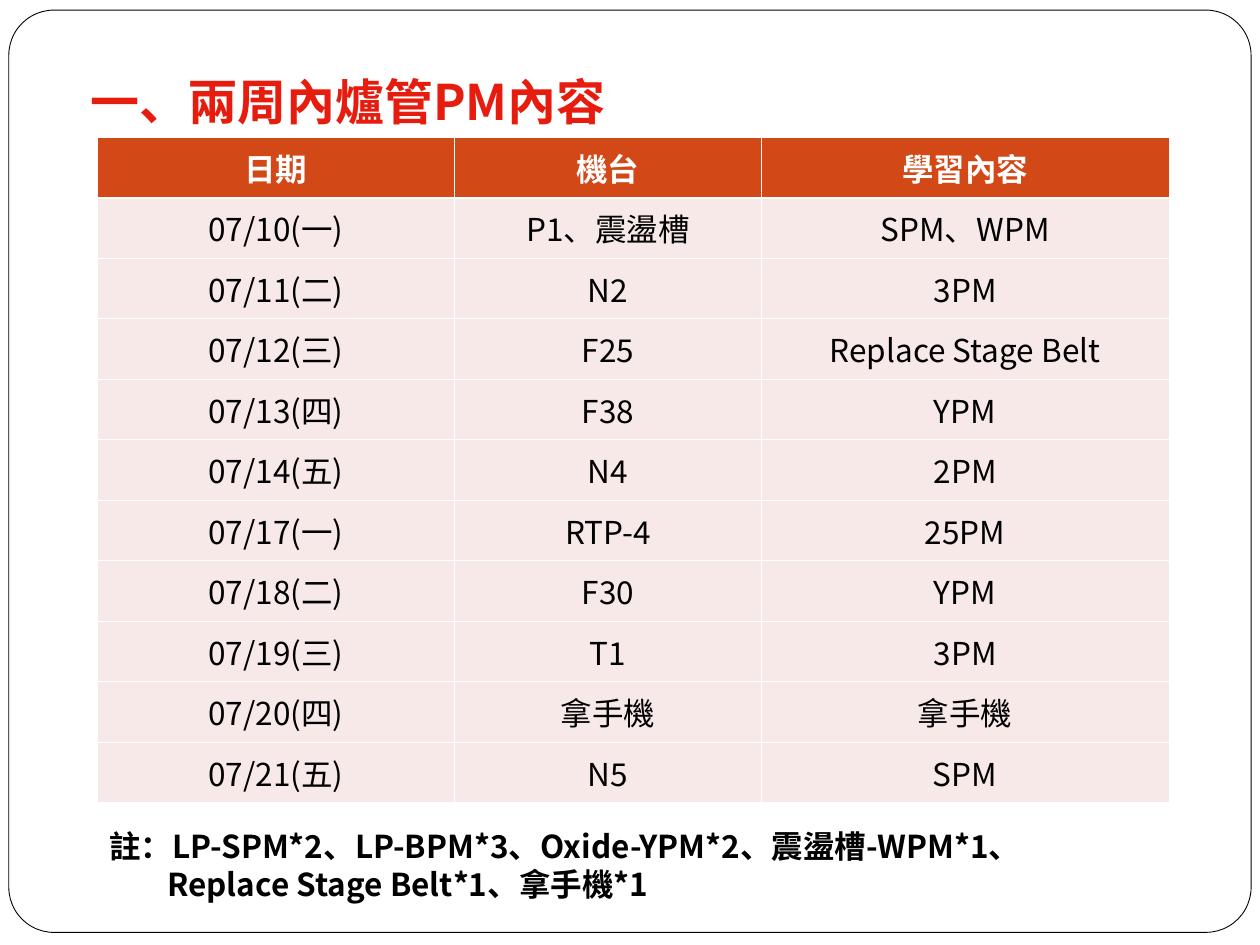
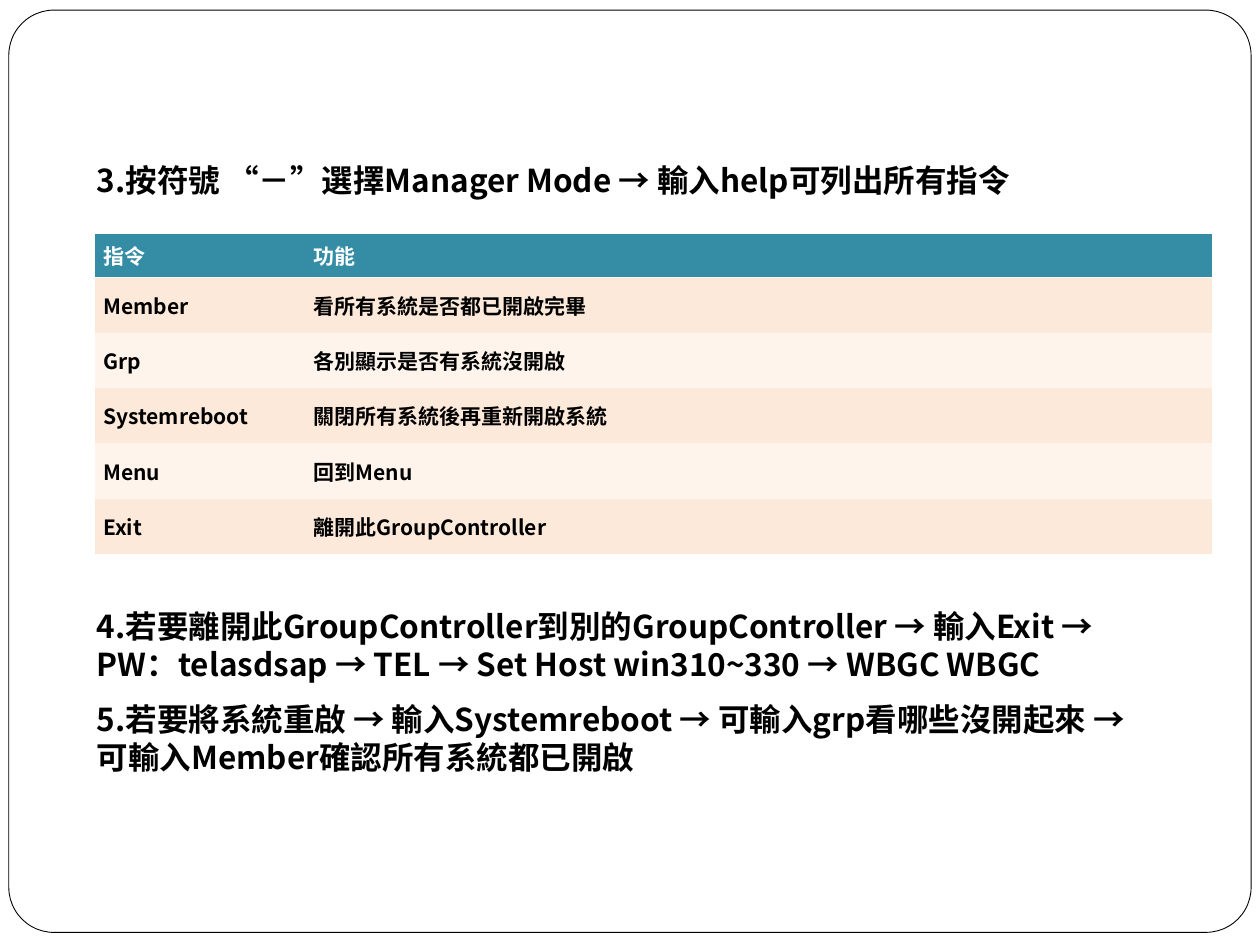
"""Build the two furnace maintenance slides: PM schedule and controller commands."""
from lxml.etree import SubElement
from pptx import Presentation
from pptx.dml.color import RGBColor
from pptx.enum.shapes import MSO_SHAPE
from pptx.enum.text import MSO_ANCHOR, PP_ALIGN
from pptx.oxml import parse_xml
from pptx.oxml.ns import nsdecls, qn
from pptx.util import Inches, Pt

FONT = "Noto Sans CJK SC"
BLACK = RGBColor(0x00, 0x00, 0x00)
WHITE = RGBColor(0xFF, 0xFF, 0xFF)
RED = RGBColor(0xE6, 0x1C, 0x0E)
ORANGE = RGBColor(0xD3, 0x48, 0x17)
PINK = RGBColor(0xF7, 0xE9, 0xE7)
TEAL = RGBColor(0x34, 0x8D, 0xA5)
PEACH = RGBColor(0xFD, 0xE9, 0xD9)
CREAM = RGBColor(0xFE, 0xF4, 0xEC)


def style(p, size, color, bold=True):
    """Format every run of a paragraph in the shared font."""
    for r in p.runs:
        r.font.size = Pt(size)
        r.font.bold = bold
        r.font.name = FONT
        r.font.color.rgb = color
        SubElement(r.font._element, qn("a:ea")).set("typeface", FONT)


def add_text(s, left, top, width, height, lines, size=18, color=BLACK, wrap=True):
    """Add a bold text box and return its paragraphs."""
    tf = s.shapes.add_textbox(Inches(left), Inches(top), Inches(width), Inches(height)).text_frame
    tf.word_wrap = wrap
    tf.text = "\n".join(lines)
    for p in tf.paragraphs:
        p.line_spacing = Pt(size * 1.207)
        style(p, size, color)
    return tf.paragraphs


prs = Presentation()
prs.slide_width, prs.slide_height = Inches(10), Inches(7.5)

schedule = [
    ("日期", "機台", "學習內容"),
    ("07/10(一)", "P1、震盪槽", "SPM、WPM"),
    ("07/11(二)", "N2", "3PM"),
    ("07/12(三)", "F25", "Replace Stage Belt"),
    ("07/13(四)", "F38", "YPM"),
    ("07/14(五)", "N4", "2PM"),
    ("07/17(一)", "RTP-4", "25PM"),
    ("07/18(二)", "F30", "YPM"),
    ("07/19(三)", "T1", "3PM"),
    ("07/20(四)", "拿手機", "拿手機"),
    ("07/21(五)", "N5", "SPM"),
]
commands = [
    ("指令", "功能"),
    ("Member", "看所有系統是否都已開啟完畢"),
    ("Grp", "各別顯示是否有系統沒開啟"),
    ("Systemreboot", "關閉所有系統後再重新開啟系統"),
    ("Menu", "回到Menu"),
    ("Exit", "離開此GroupController"),
]
tables = [
    dict(rows=schedule, left=0.77, top=1.09, cols=(2.84, 2.43, 3.24), head_h=0.48, row_h=0.48,
         size=18, bold=False, align=PP_ALIGN.CENTER, margin=0.1, head=ORANGE, bands=(PINK, PINK),
         grid=0.45, rule=1.47),
    dict(rows=commands, left=0.75, top=1.86, cols=(1.67, 7.2), head_h=0.34, row_h=0.44,
         size=12, bold=True, align=PP_ALIGN.LEFT, margin=0.07, head=TEAL, bands=(PEACH, CREAM),
         grid=0, rule=0.75),
]

slides = []
for t in tables:
    s = prs.slides.add_slide(prs.slide_layouts[6])
    slides.append(s)
    sp = s.shapes.add_shape(MSO_SHAPE.ROUNDED_RECTANGLE,
                            Inches(0.07), Inches(0.08), Inches(9.86), Inches(7.32))
    sp.adjustments[0] = 0.049
    sp.shadow.inherit = False
    sp.fill.solid()
    sp.fill.fore_color.rgb = WHITE
    sp.line.color.rgb = BLACK
    sp.line.width = Pt(0.5)

    rows, cols = t["rows"], t["cols"]
    height = t["head_h"] + t["row_h"] * (len(rows) - 1)
    table = s.shapes.add_table(len(rows), len(cols), Inches(t["left"]), Inches(t["top"]),
                               Inches(sum(cols)), Inches(height)).table
    table.horz_banding = False
    for col, width in zip(table.columns, cols):
        col.width = Inches(width)
    for i, row in enumerate(rows):
        table.rows[i].height = Inches(t["row_h"] if i else t["head_h"])
        for j, text in enumerate(row):
            cell = table.cell(i, j)
            cell.margin_left = cell.margin_right = Inches(t["margin"])
            cell.vertical_anchor = MSO_ANCHOR.MIDDLE
            cell.fill.solid()
            cell.fill.fore_color.rgb = t["bands"][(i - 1) % 2] if i else t["head"]
            cell.text = text
            p = cell.text_frame.paragraphs[0]
            p.alignment = t["align"]
            style(p, t["size"], BLACK if i else WHITE, t["bold"] or i == 0)
            widths = dict(lnL=t["grid"], lnR=t["grid"],
                          lnT=t["rule"] if i == 1 else t["grid"],
                          lnB=t["rule"] if i == 0 else t["grid"])
            for k, (tag, pt) in enumerate(widths.items()):
                paint = f'<a:solidFill><a:srgbClr val="{WHITE}"/></a:solidFill>' if pt else "<a:noFill/>"
                ln = parse_xml(f'<a:{tag} {nsdecls("a")} w="{Pt(pt)}">{paint}</a:{tag}>')
                cell._tc.get_or_add_tcPr().insert(k, ln)

s = slides[0]
note = add_text(s, 0.77, 6.51, 8.54, 0.7, [
    "註：LP-SPM*2、LP-BPM*3、Oxide-YPM*2、震盪槽-WPM*1、",
    "Replace Stage Belt*1、拿手機*1",
])
note[1]._p.get_or_add_pPr().set("marL", str(Inches(0.46)))
add_text(s, 0.62, 0.52, 4.49, 0.57, ["一、兩周內爐管PM內容"], 28, RED, wrap=False)

s = slides[1]
add_text(s, 0.67, 1.23, 9.14, 0.4, ["3.按符號 “－”選擇Manager Mode → 輸入help可列出所有指令"])
steps = add_text(s, 0.67, 4.77, 9.14, 1.44, [
    "4.若要離開此GroupController到別的GroupController → 輸入Exit →",
    "PW：telasdsap → TEL → Set Host win310~330 → WBGC WBGC",
    "5.若要將系統重啟 → 輸入Systemreboot → 可輸入grp看哪些沒開起來 →",
    "可輸入Member確認所有系統都已開啟",
])
steps[2].space_before = Pt(9.5)

prs.save("out.pptx")
